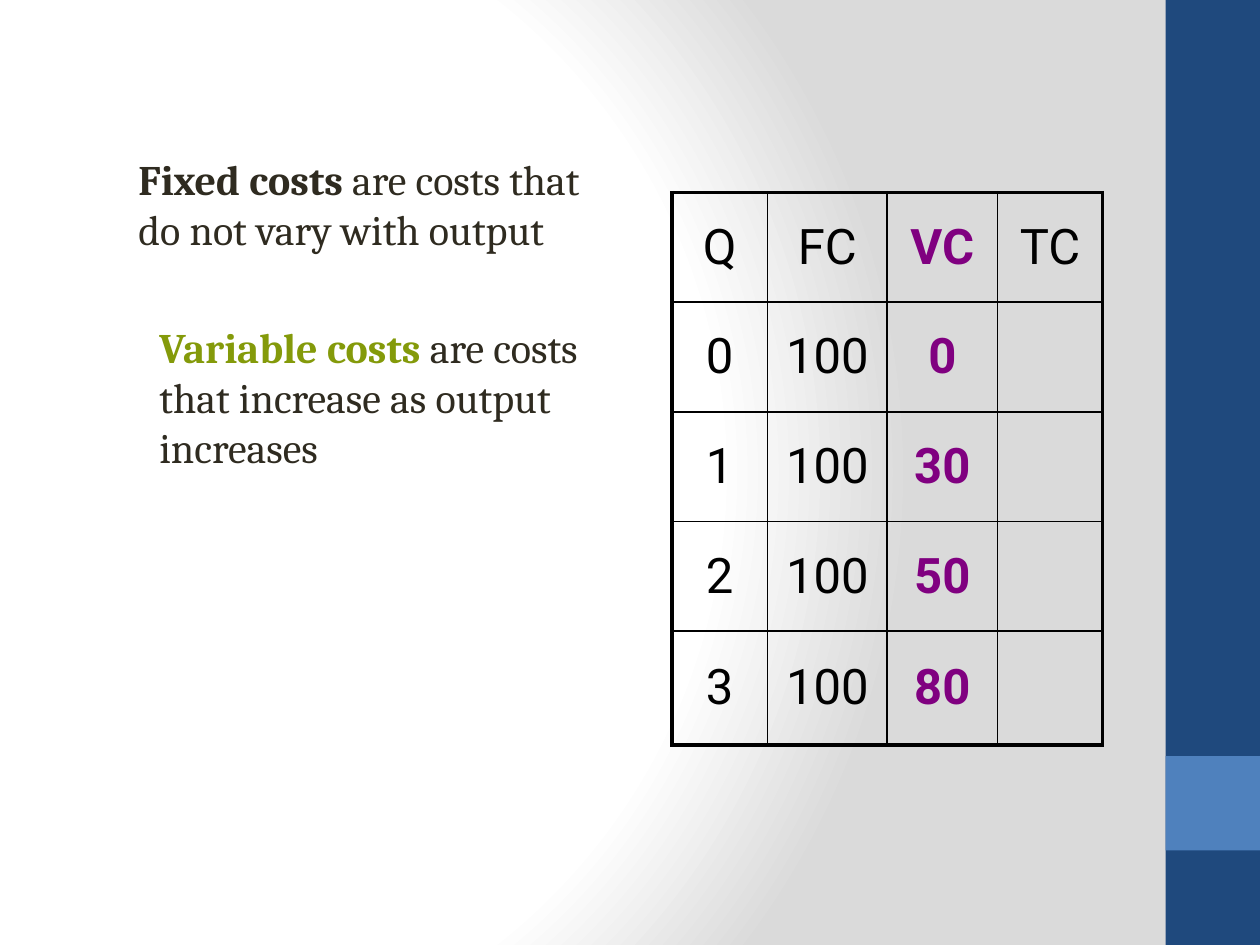
from dataclasses import dataclass

from pptx import Presentation
from pptx.dml.color import RGBColor
from pptx.enum.shapes import MSO_SHAPE
from pptx.enum.text import MSO_ANCHOR, PP_ALIGN
from pptx.oxml import parse_xml
from pptx.oxml.ns import nsdecls
from pptx.util import Pt

NAVY = RGBColor(0x1F, 0x49, 0x7D)
BLUE = RGBColor(0x4F, 0x81, 0xBD)
INK = RGBColor(0x2F, 0x2B, 0x20)
GREEN = RGBColor(0x84, 0x9A, 0x0A)
PURPLE = RGBColor(0x80, 0x00, 0x80)
BLACK = RGBColor(0x00, 0x00, 0x00)
WHITE = RGBColor(0xFF, 0xFF, 0xFF)
GREY = RGBColor(0xDA, 0xDA, 0xDA)

SLIDE_W, SLIDE_H = 720, 540
THIN, THICK = 1, 2.25


@dataclass
class Box:
    x: float
    y: float
    w: float
    h: float

    def pts(self) -> tuple:
        return Pt(self.x), Pt(self.y), Pt(self.w), Pt(self.h)


@dataclass
class Definition:
    box: Box
    term: str
    meaning: str
    color: RGBColor


BANDS = [(Box(666, 0, 54, SLIDE_H), NAVY), (Box(666, 432, 54, 54), BLUE)]

DEFINITIONS = [
    Definition(Box(72, 84, 288, 65), "Fixed costs",
               " are costs that do not vary with output", INK),
    Definition(Box(84, 180, 264, 94), "Variable costs",
               " are costs that increase as output increases", GREEN),
]

TABLE_X, TABLE_Y = 384, 110
COL_WIDTHS = [54.5, 68.5, 63, 60]
ROW_HEIGHTS = [62.7] * 4 + [65]
VC_COL = 2
COSTS = [
    ["Q", "FC", "VC", "TC"],
    ["0", "100", "0", ""],
    ["1", "100", "30", ""],
    ["2", "100", "50", ""],
    ["3", "100", "80", ""],
]


def set_background(s) -> None:
    stops = "".join(
        f'<a:gs pos="{pos * 1000}"><a:srgbClr val="{color}"/></a:gs>'
        for pos, color in [(0, WHITE), (75, WHITE), (100, GREY)])
    s._element.cSld.insert(0, parse_xml(
        f'<p:bg {nsdecls("p", "a")}><p:bgPr><a:gradFill rotWithShape="1">'
        f'<a:gsLst>{stops}</a:gsLst><a:path path="circle">'
        '<a:fillToRect l="20000" t="50000" r="100000" b="50000"/></a:path>'
        '</a:gradFill><a:effectLst/></p:bgPr></p:bg>'))


def add_band(s, box: Box, color: RGBColor) -> None:
    sp = s.shapes.add_shape(MSO_SHAPE.RECTANGLE, *box.pts())
    sp.shadow.inherit = False
    sp.fill.solid()
    sp.fill.fore_color.rgb = color
    sp.line.fill.background()


def add_run(p, text: str, font: str, size: float, color: RGBColor, bold: bool) -> None:
    r = p.add_run()
    r.text = text
    r.font.name = font
    r.font.size = Pt(size)
    r.font.color.rgb = color
    r.font.bold = bold


def add_definition(s, d: Definition) -> None:
    tf = s.shapes.add_textbox(*d.box.pts()).text_frame
    tf.word_wrap = True
    p = tf.paragraphs[0]
    add_run(p, d.term, "Cambria", 24, d.color, True)
    add_run(p, d.meaning, "Cambria", 24, INK, False)


def set_borders(cell, **widths: float) -> None:
    tcPr = cell._tc.get_or_add_tcPr()
    for i, (side, width) in enumerate(widths.items()):
        tcPr.insert(i, parse_xml(
            f'<a:ln{side} {nsdecls("a")} w="{Pt(width)}"><a:solidFill>'
            f'<a:srgbClr val="{BLACK}"/></a:solidFill></a:ln{side}>'))


def add_cost_table(s) -> None:
    n_rows, n_cols = len(COSTS), len(COL_WIDTHS)
    box = Box(TABLE_X, TABLE_Y, sum(COL_WIDTHS), sum(ROW_HEIGHTS))
    table = s.shapes.add_table(n_rows, n_cols, *box.pts()).table
    table.first_row = table.horz_banding = False
    for col, width in zip(table.columns, COL_WIDTHS):
        col.width = Pt(width)
    for row, height in zip(table.rows, ROW_HEIGHTS):
        row.height = Pt(height)

    for i, values in enumerate(COSTS):
        for j, value in enumerate(values):
            cell = table.cell(i, j)
            cell.fill.background()
            cell.vertical_anchor = MSO_ANCHOR.MIDDLE
            # Thick outer frame, thin inner grid
            set_borders(cell,
                        L=THICK if j == 0 else THIN,
                        R=THICK if j == n_cols - 1 else THIN,
                        T=THICK if i == 0 else THIN,
                        B=THICK if i == n_rows - 1 else THIN)
            if value:
                p = cell.text_frame.paragraphs[0]
                p.alignment = PP_ALIGN.CENTER
                is_vc = j == VC_COL
                add_run(p, value, "Roboto", 28, PURPLE if is_vc else BLACK, is_vc)


def main() -> None:
    prs = Presentation()
    prs.slide_width, prs.slide_height = Pt(SLIDE_W), Pt(SLIDE_H)
    s = prs.slides.add_slide(prs.slide_layouts[6])

    # Background and side bands
    set_background(s)
    for box, color in BANDS:
        add_band(s, box, color)

    # Definitions and cost table
    for d in DEFINITIONS:
        add_definition(s, d)
    add_cost_table(s)

    prs.save("out.pptx")


if __name__ == "__main__":
    main()
